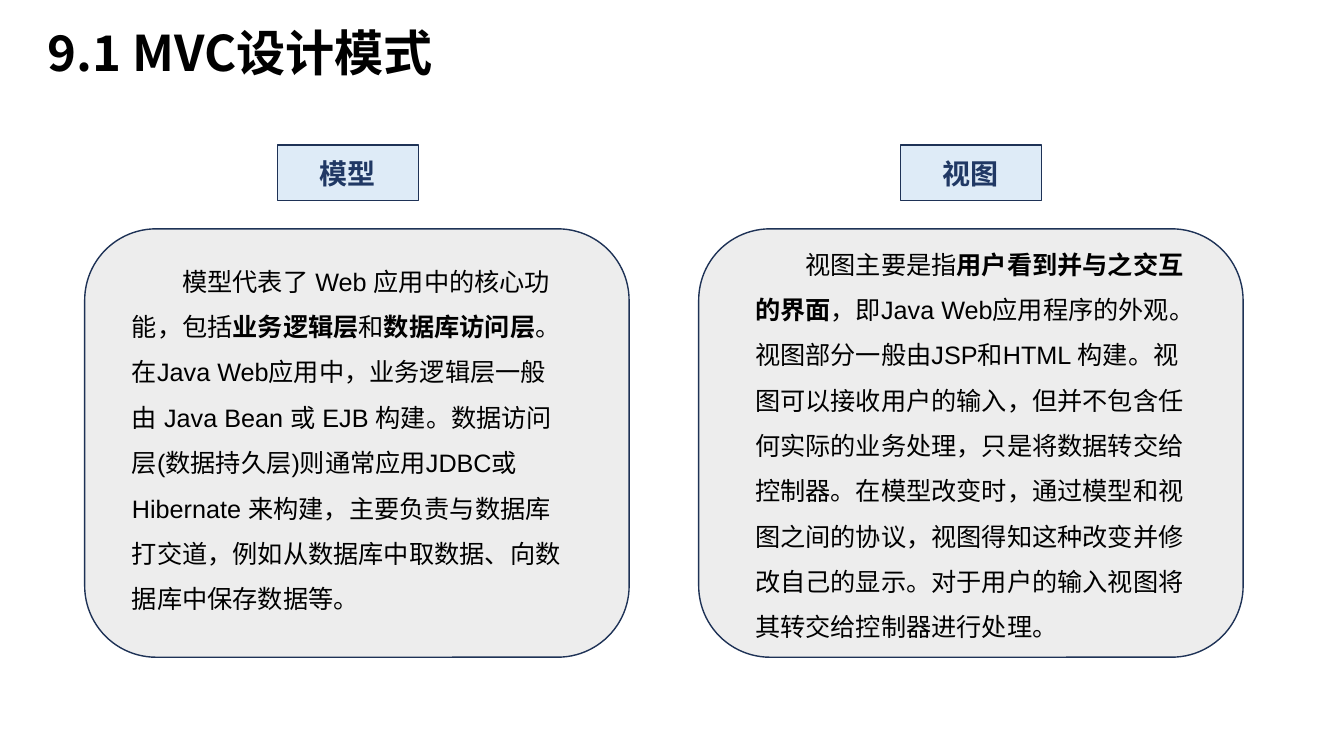
from dataclasses import dataclass

from lxml import etree
from pptx import Presentation
from pptx import util as u
from pptx.dml.color import RGBColor
from pptx.enum import shapes, text
from pptx.oxml.ns import qn

HEADING_FONT = "Noto Sans CJK SC"
BODY_FONT = "Arial"
OUTLINE = "1E3256"


@dataclass
class Concept:
    label: str
    label_left: float
    panel_left: float
    body_left: float
    body_top: float
    passages: list[tuple[str, bool]]


CONCEPTS = [
    Concept("模型", 2.75, 0.84, 1.21, 2.44, [
        ("模型代表了 Web 应用中的核心功能，包括", False),
        ("业务逻辑层", True),
        ("和", False),
        ("数据库访问层", True),
        ("。在Java Web应用中，业务逻辑层一般由 Java Bean 或 EJB 构建。"
         "数据访问层(数据持久层)则通常应用JDBC或 Hibernate 来构建，"
         "主要负责与数据库打交道，例如从数据库中取数据、向数据库中保存数据等。", False),
    ]),
    Concept("视图", 8.93, 6.93, 7.39, 2.27, [
        ("视图主要是指", False),
        ("用户看到并与之交互的界面", True),
        ("，即Java Web应用程序的外观。视图部分一般由JSP和HTML 构建。"
         "视图可以接收用户的输入，但并不包含任何实际的业务处理，只是将数据转交给控制器。"
         "在模型改变时，通过模型和视图之间的协议，视图得知这种改变并修改自己的显示。"
         "对于用户的输入视图将其转交给控制器进行处理。", False),
    ]),
]


def color(hex_value: str) -> RGBColor:
    return RGBColor.from_string(hex_value)


def write(shape, passages: list[tuple[str, bool]], *, size: float, font: str,
          ink: str = "000000", align=text.PP_ALIGN.LEFT,
          anchor=text.MSO_ANCHOR.MIDDLE, spacing: float = 1.0,
          first_indent: float = 0) -> None:
    """Fill a shape with one paragraph of (wording, bold) passages."""
    frame = shape.text_frame
    frame.word_wrap = True
    frame.auto_size = text.MSO_AUTO_SIZE.NONE
    frame.vertical_anchor = anchor
    paragraph = frame.paragraphs[0]
    paragraph.alignment = align
    paragraph.line_spacing = spacing
    if first_indent:
        properties = paragraph._p.get_or_add_pPr()
        properties.set("marL", "0")
        properties.set("indent", str(u.Inches(first_indent)))
    for wording, bold in passages:
        run = paragraph.add_run()
        run.text = wording
        run.font.size = u.Pt(size)
        run.font.bold = bold
        run.font.color.rgb = color(ink)
        run.font.name = font
        east_asian = etree.SubElement(run._r.get_or_add_rPr(), qn("a:ea"))
        east_asian.set("typeface", font)


def place(left: float, top: float, width: float, height: float) -> list[u.Length]:
    return [u.Inches(value) for value in (left, top, width, height)]


def add_block(slide, preset, box: list[u.Length], fill: str):
    block = slide.shapes.add_shape(preset, *box)
    block.shadow.inherit = False
    block.fill.solid()
    block.fill.fore_color.rgb = color(fill)
    block.line.color.rgb = color(OUTLINE)
    block.line.width = u.Pt(1)
    return block


def add_concept(slide, concept: Concept) -> None:
    add_block(slide, shapes.MSO_SHAPE.ROUNDED_RECTANGLE,
              place(concept.panel_left, 2.27, 5.4, 4.25), "EDEDED")
    label = add_block(slide, shapes.MSO_SHAPE.RECTANGLE,
                      place(concept.label_left, 1.44, 1.4, 0.55), "DEEBF7")
    write(label, [(concept.label, True)], size=20, font=HEADING_FONT,
          ink="203864", align=text.PP_ALIGN.CENTER)
    body = slide.shapes.add_textbox(
        *place(concept.body_left, concept.body_top, 4.48, 3.62))
    write(body, concept.passages, size=18, font=BODY_FONT, spacing=1.5,
          anchor=text.MSO_ANCHOR.TOP, first_indent=0.5)


def main() -> None:
    deck = Presentation()
    deck.slide_width, deck.slide_height = u.Inches(13.33), u.Inches(7.5)
    slide = deck.slides.add_slide(deck.slide_layouts.get_by_name("Title Only"))
    title = slide.shapes.title
    title.left, title.top, title.width, title.height = place(0.37, 0.16, 5.69, 0.78)
    write(title, [("9.1 MVC设计模式", True)], size=35.1, font=HEADING_FONT, spacing=0.9)
    for concept in CONCEPTS:
        add_concept(slide, concept)
    deck.save("out.pptx")


if __name__ == "__main__":
    main()
